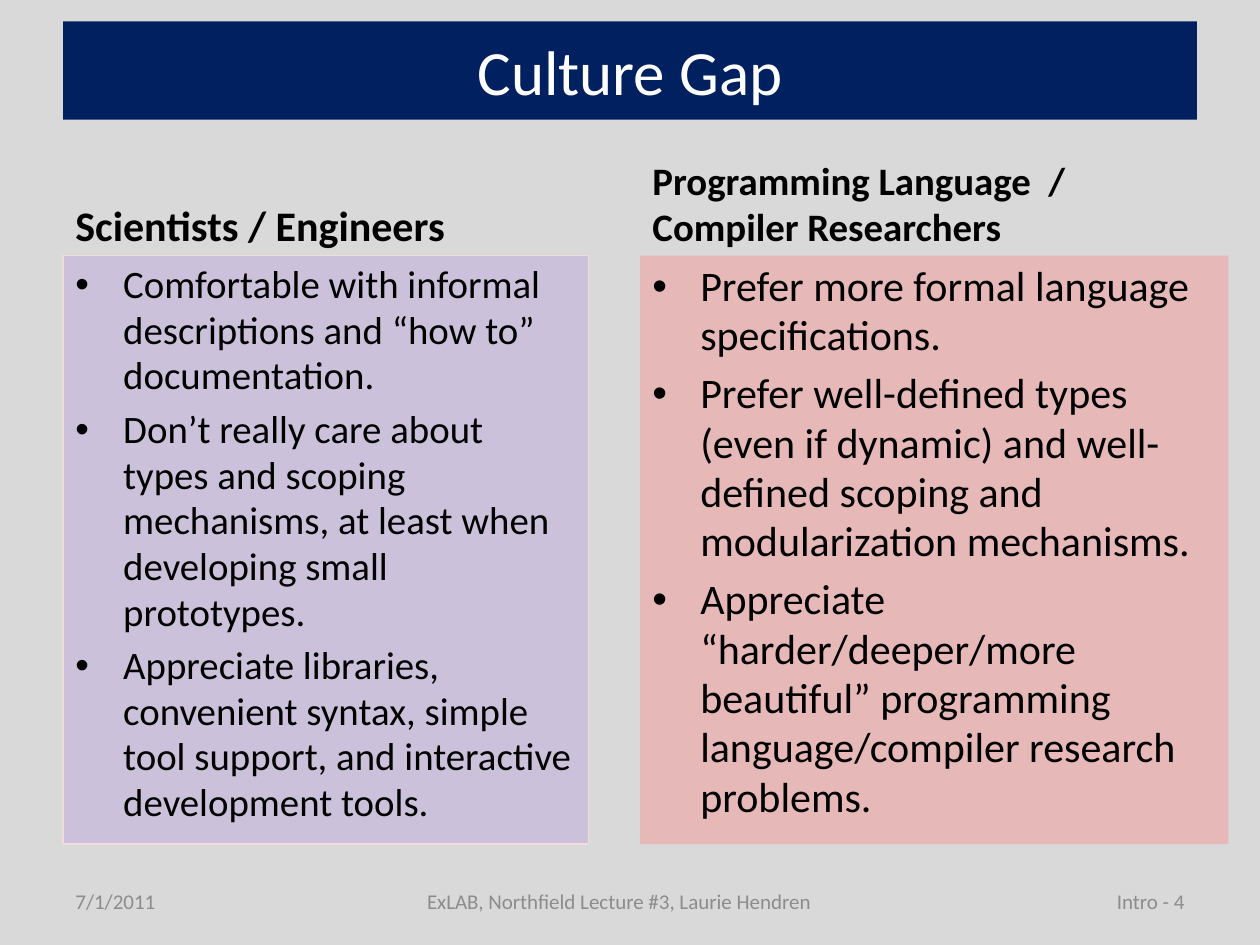
from dataclasses import dataclass

from lxml.etree import SubElement
from pptx import Presentation
from pptx.dml.color import RGBColor
from pptx.enum.text import MSO_ANCHOR, PP_ALIGN
from pptx.oxml.ns import qn
from pptx.util import Inches, Pt


@dataclass(frozen=True)
class Theme:
    font: str = "Calibri"
    back: str = "D9D9D9"
    navy: str = "002060"
    white: str = "FFFFFF"
    ink: str = "000000"
    gray: str = "8C8C8C"
    lilac: str = "CCC1DA"
    rose: str = "E6B9B8"
    edge: str = "F2DCDB"
    title: float = 36
    large: float = 24
    text: float = 22.2
    small: float = 12


THEME = Theme()
LEFT = (
    "Comfortable with informal descriptions and “how to” documentation.",
    "Don’t really care about types and scoping mechanisms, at least when "
    "developing small prototypes.",
    "Appreciate libraries, convenient syntax, simple tool support, and "
    "interactive development tools.",
)
RIGHT = (
    "Prefer more formal language specifications.",
    "Prefer well-defined types (even if dynamic) and well-defined scoping "
    "and modularization mechanisms.",
    "Appreciate “harder/deeper/more beautiful” programming "
    "language/compiler research problems.",
)


def paint(fill, color):
    fill.solid()
    fill.fore_color.rgb = RGBColor.from_string(color)


def style(para, size, color=THEME.ink, bold=False, align=PP_ALIGN.LEFT):
    para.alignment = align
    font = para.font
    font.name, font.size, font.bold = THEME.font, Pt(size), bold
    font.color.rgb = RGBColor.from_string(color)


def bullet(para):
    props = para._p.get_or_add_pPr()
    props.set("marL", str(Inches(0.38)))
    props.set("indent", str(-Inches(0.38)))
    SubElement(props, qn("a:buFont")).set("typeface", "Arial")
    SubElement(props, qn("a:buChar")).set("char", "•")


def add_text(slide, box, lines, anchor=MSO_ANCHOR.TOP):
    """Add a wrapped text box with one paragraph for each line."""
    shape = slide.shapes.add_textbox(*map(Inches, box))
    frame = shape.text_frame
    frame.word_wrap = True
    frame.vertical_anchor = anchor
    frame.text = "\n".join(lines)
    return shape


def add_title(slide, box, text):
    title = slide.shapes.title
    title.left, title.top, title.width, title.height = map(Inches, box)
    paint(title.fill, THEME.navy)
    frame = title.text_frame
    frame.text = text
    frame.vertical_anchor = MSO_ANCHOR.MIDDLE
    style(frame.paragraphs[0], THEME.title, THEME.white, align=PP_ALIGN.CENTER)


def add_column(slide, box, head, points, fill, sizes, edge=None):
    """Add a heading over a filled list; sizes are for heading and list."""
    left, top, width, height = box
    rise = 0.7
    label = add_text(slide, (left, top, 4.42, rise), [head], MSO_ANCHOR.BOTTOM)
    style(label.text_frame.paragraphs[0], sizes[0], bold=True)

    panel = add_text(slide, (left, top + rise, width, height - rise), points)
    paint(panel.fill, fill)
    if edge:
        paint(panel.line.fill, edge)
        panel.line.width = Pt(0.75)
    for para in panel.text_frame.paragraphs:
        style(para, sizes[1])
        para.line_spacing = 0.98
        para.space_before = Pt(sizes[1] * 0.2)
        bullet(para)


def add_footer(slide, box):
    left, top, width, height = box
    parts = (
        (0, 1.08, "7/1/2011", PP_ALIGN.LEFT),
        (1.83, 5.17, "ExLAB, Northfield Lecture #3, Laurie Hendren",
         PP_ALIGN.CENTER),
        (width - 0.92, 0.92, "Intro - 4", PP_ALIGN.RIGHT),
    )
    for shift, wide, text, align in parts:
        note = add_text(slide, (left + shift, top, wide, height), [text],
                        MSO_ANCHOR.MIDDLE)
        style(note.text_frame.paragraphs[0], THEME.small, THEME.gray,
              align=align)


def main():
    deck = Presentation()
    deck.slide_width, deck.slide_height = Inches(10), Inches(7.5)
    slide = deck.slides.add_slide(deck.slide_layouts[5])
    paint(slide.background.fill, THEME.back)

    add_title(slide, (0.5, 0.17, 9, 0.78), "Culture Gap")
    add_column(slide, (0.5, 1.33, 4.17, 5.37), "Scientists / Engineers",
               LEFT, THEME.lilac, (THEME.large, THEME.text), THEME.edge)
    add_column(slide, (5.08, 1.33, 4.67, 5.37),
               "Programming Language  / Compiler Researchers",
               RIGHT, THEME.rose, (THEME.text, THEME.large))
    add_footer(slide, (0.5, 6.95, 9, 0.4))
    deck.save("out.pptx")


if __name__ == "__main__":
    main()
